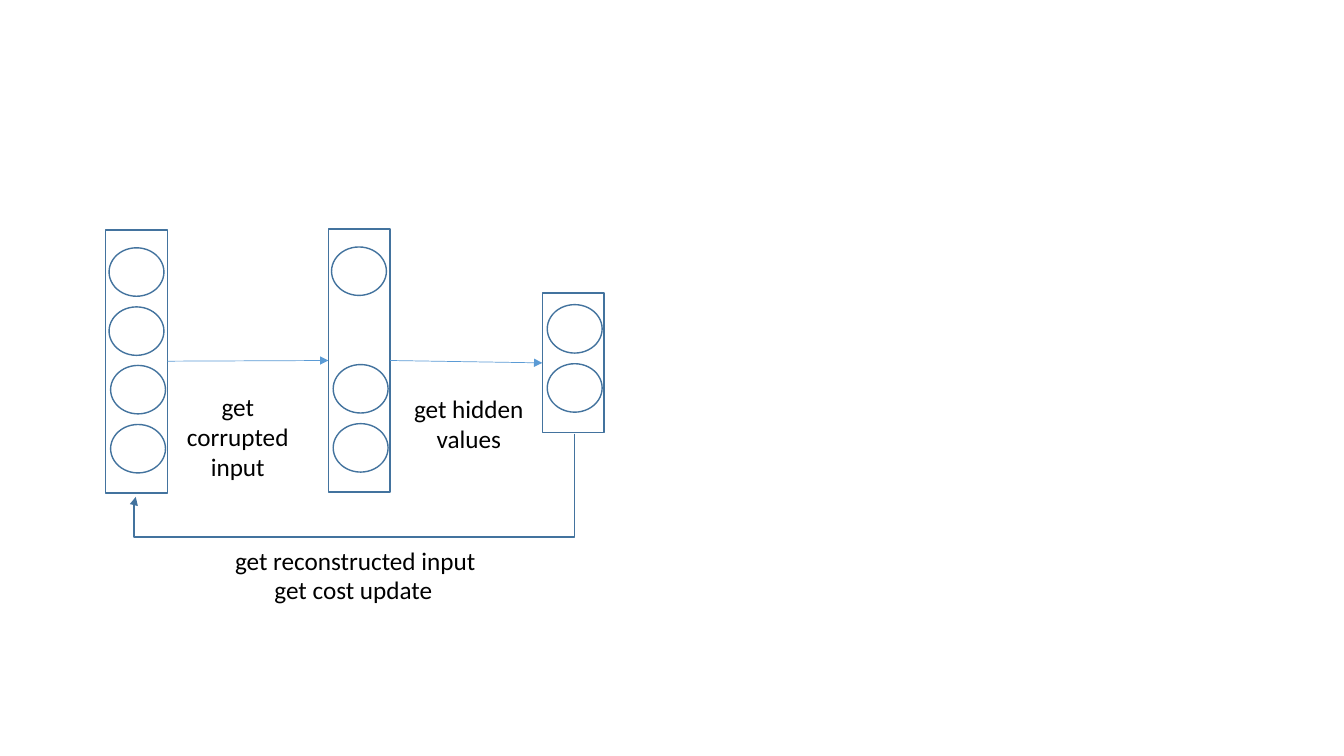
import pptx
import pptx.util
import pptx.dml.color
import pptx.enum.shapes
import pptx.enum.text
import pptx.oxml

Pt = pptx.util.Pt
MSO_SHAPE = pptx.enum.shapes.MSO_SHAPE
OUTLINE = pptx.dml.color.RGBColor(0x43, 0x73, 0x9E)
ARROW = pptx.dml.color.RGBColor(0x5B, 0x9B, 0xD5)
BLACK = pptx.dml.color.RGBColor(0, 0, 0)
NS = 'xmlns:a="http://schemas.openxmlformats.org/drawingml/2006/main"'

deck = pptx.Presentation()
deck.slide_width, deck.slide_height = Pt(960), Pt(540)
slide = deck.slides.add_slide(deck.slide_layouts[6])


def add_label(text, left, top, width, height, size=18, font="Calibri", color=BLACK):
    label = slide.shapes.add_textbox(Pt(left), Pt(top), Pt(width), Pt(height))
    frame = label.text_frame
    frame.word_wrap = True
    frame.auto_size = pptx.enum.text.MSO_AUTO_SIZE.SHAPE_TO_FIT_TEXT
    paragraph = frame.paragraphs[0]
    paragraph.alignment = pptx.enum.text.PP_ALIGN.CENTER
    run = paragraph.add_run()
    run.text = text
    run.font.size, run.font.name, run.font.color.rgb = Pt(size), font, color


def style_line(item, color, width, arrow=False):
    item.line.color.rgb = color
    item.line.width = Pt(width)
    if arrow:
        item.line._get_or_add_ln().append(
            pptx.oxml.parse_xml(f'<a:tailEnd {NS} type="triangle"/>'))


layers = [
    (75.6, 164.2, 188, [(77.9, 177), (77.9, 219.2), (79, 261), (79, 303.2)]),
    (234.6, 163.6, 188, [(236.8, 176.4), (238, 260.4), (238, 302.6)]),
    (387.4, 209.4, 99.6, [(390.9, 217.6), (390.9, 259.8)]),
]
for layer_left, layer_top, layer_height, neurons in layers:
    outlines = [(MSO_SHAPE.RECTANGLE, layer_left, layer_top, 44, layer_height)]
    outlines += [(MSO_SHAPE.OVAL, x, y, 39.2, 34.6) for x, y in neurons]
    for kind, left, top, width, height in outlines:
        outline = slide.shapes.add_shape(kind, Pt(left), Pt(top), Pt(width), Pt(height))
        outline.shadow.inherit = False
        outline.fill.background()
        style_line(outline, OUTLINE, 1)

for x1, y1, x2, y2 in [(119.6, 258, 234.6, 257.5), (278.6, 257.5, 387.4, 259.2)]:
    step = slide.shapes.add_connector(
        pptx.enum.shapes.MSO_CONNECTOR.STRAIGHT, Pt(x1), Pt(y1), Pt(x2), Pt(y2))
    style_line(step, ARROW, 0.5, arrow=True)
    step._element.spPr.append(pptx.oxml.parse_xml(f"<a:effectLst {NS}/>"))

builder = slide.shapes.build_freeform(Pt(410.2), Pt(309.8))
builder.add_line_segments(
    [(Pt(x), Pt(y)) for x, y in [(410.2, 383.5), (95.6, 383.5), (95.6, 360), (97, 355)]],
    close=False)
feedback = builder.convert_to_shape()
feedback.shadow.inherit = False
feedback.fill.background()
style_line(feedback, OUTLINE, 1, arrow=True)

add_label("get corrupted input", 118, 275.8, 103.7, 72.7)
add_label("get hidden values", 272.2, 277.2, 125.3, 51)
add_label("get reconstructed input", 147.6, 386, 212.4, 29)
add_label("get cost update", 146.2, 406.8, 212.4, 29)

deck.save("out.pptx")
